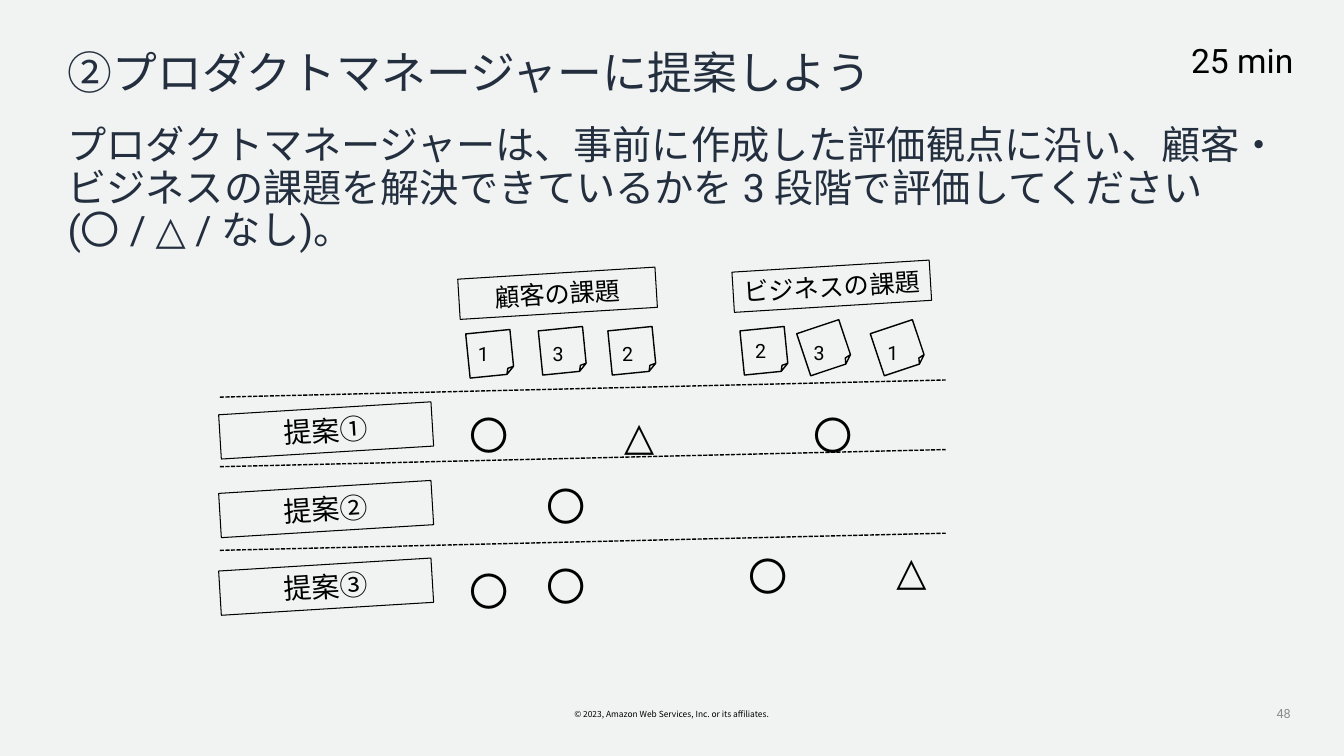
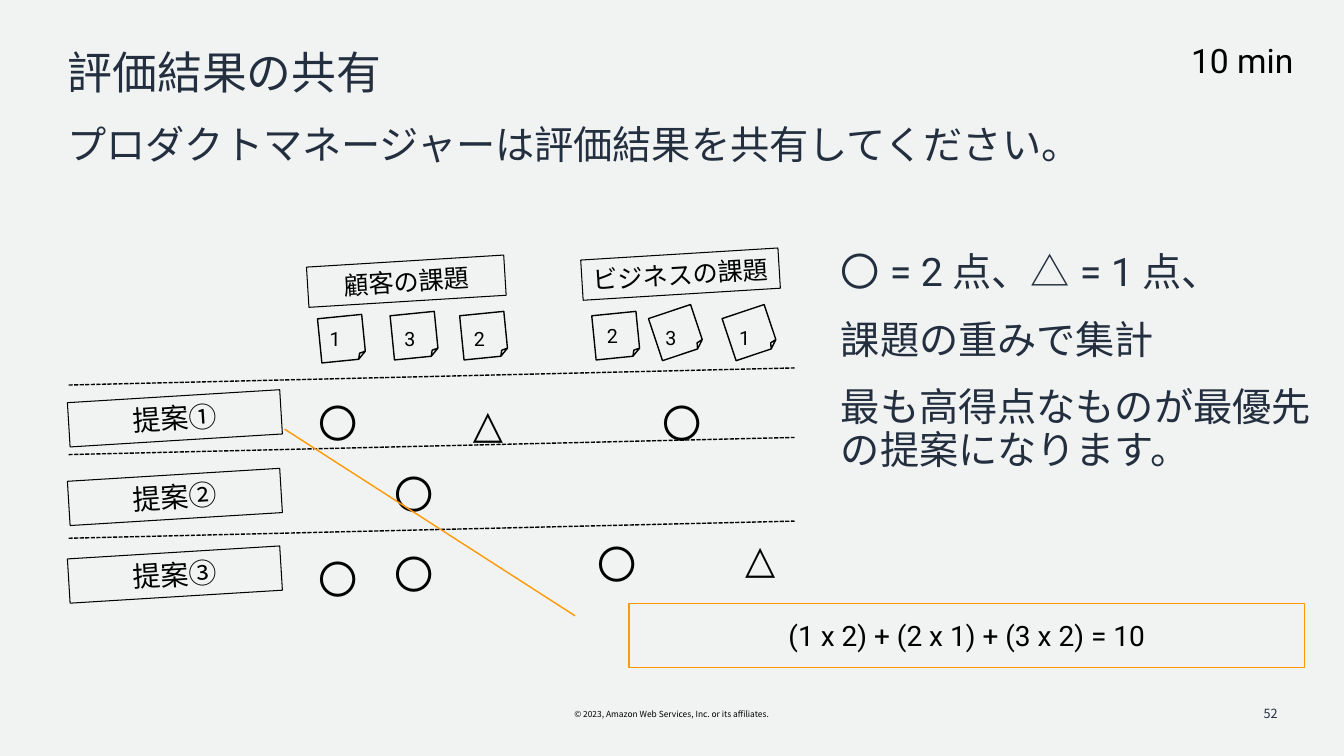
from dataclasses import dataclass

from lxml import etree
from pptx import Presentation
from pptx.dml.color import RGBColor
from pptx.enum.dml import MSO_LINE
from pptx.enum.shapes import MSO_CONNECTOR, MSO_SHAPE
from pptx.enum.text import MSO_ANCHOR, MSO_AUTO_SIZE, PP_ALIGN
from pptx.oxml.ns import qn
from pptx.util import Inches, Pt

LEFT, CENTER, RIGHT = PP_ALIGN.LEFT, PP_ALIGN.CENTER, PP_ALIGN.RIGHT
TOP, MIDDLE = MSO_ANCHOR.TOP, MSO_ANCHOR.MIDDLE
GROW, FIXED = MSO_AUTO_SIZE.SHAPE_TO_FIT_TEXT, MSO_AUTO_SIZE.NONE
RECTANGLE, NOTE = MSO_SHAPE.RECTANGLE, MSO_SHAPE.FOLDED_CORNER
CALLOUT = MSO_SHAPE.LINE_CALLOUT_1
STRAIGHT, DASHED = MSO_CONNECTOR.STRAIGHT, MSO_LINE.SQUARE_DOT

BACKGROUND, NAVY, BLACK, GRAY, ORANGE = "F1F3F3", "232F3E", "000000", "8C8C8C", "FF9900"
MAIN_FONT, FOOTER_FONT = "Roboto", "Noto Sans CJK JP"
COPYRIGHT = "© 2023, Amazon Web Services, Inc. or its affiliates."
LABEL_ANGLE, STEEP_ANGLE, SLIGHT_ANGLE = -3.5, -18.5, -5.7
BODY = dict(size=28, color=NAVY, spacing=0.9, after=18)


@dataclass(frozen=True)
class Label:
    text: str
    left: float
    top: float
    width: float
    height: float
    size: int


@dataclass(frozen=True)
class Note:
    """A folded note; the number sits at an offset from its corner."""
    number: str
    left: float
    top: float
    angle: float
    shift_x: float
    shift_y: float


@dataclass(frozen=True)
class Mark:
    symbol: str
    left: float
    top: float


@dataclass(frozen=True)
class PageNumber:
    text: str
    right: float
    width: float
    color: str
    font: str


LABELS = [
    *(Label(f"提案{digit}", 2.18, top, 2.11, 0.44, 20)
      for digit, top in zip("①②③", (4.05, 4.83, 5.6))),
    Label("顧客の課題", 4.55, 2.71, 1.96, 0.4, 18),
    Label("ビジネスの課題", 7.27, 2.64, 1.96, 0.4, 18),
]
NOTES = [
    Note("1", 4.64, 3.29, SLIGHT_ANGLE, 0.1, 0.05),
    Note("3", 5.36, 3.26, SLIGHT_ANGLE, 0.12, 0.08),
    Note("2", 6.05, 3.26, SLIGHT_ANGLE, 0.12, 0.08),
    Note("2", 7.36, 3.26, SLIGHT_ANGLE, 0.13, 0.05),
    Note("3", 7.96, 3.23, STEEP_ANGLE, 0.11, 0.1),
    Note("1", 8.69, 3.23, STEEP_ANGLE, 0.11, 0.1),
]
MARKS = [
    Mark("〇", 4.49, 4.03), Mark("△", 5.98, 4.03), Mark("〇", 7.9, 4.03),
    Mark("〇", 5.25, 4.74),
    Mark("〇", 4.49, 5.58), Mark("〇", 5.25, 5.53),
    Mark("〇", 7.26, 5.43), Mark("△", 8.68, 5.37),
]
DIVIDER_TOPS = [3.94, 4.63, 5.46]


def rgb(color: str) -> RGBColor:
    return RGBColor.from_string(color)


def write(box, text: str, *, size: float, color: str = BLACK, font: str = MAIN_FONT,
          align=LEFT, anchor=TOP, inset: float = 0, fit=GROW, wrap: bool = True,
          spacing: float = 1.0, after: float = 0) -> None:
    """Fill a shape with text, one paragraph per line."""
    frame = box.text_frame
    frame.word_wrap, frame.auto_size, frame.vertical_anchor = wrap, fit, anchor
    frame.margin_left = frame.margin_right = Inches(inset)
    frame.margin_top = frame.margin_bottom = Inches(0.05)
    for index, line in enumerate(text.split("\n")):
        para = frame.add_paragraph() if index else frame.paragraphs[0]
        para.alignment, para.line_spacing = align, spacing
        para.space_before, para.space_after = Pt(0), Pt(after)
        span = para.add_run()
        span.text = line
        span.font.size, span.font.name = Pt(size), font
        span.font.color.rgb = rgb(color)
        properties = span.font._element
        etree.SubElement(properties, qn("a:ea")).set("typeface", font)


def add_text(page, text: str, left: float, top: float, width: float, height: float,
             **style):
    box = page.shapes.add_textbox(Inches(left), Inches(top), Inches(width), Inches(height))
    write(box, text, **style)
    return box


def add_outline(page, kind, left: float, top: float, width: float, height: float, *,
                angle: float = 0, color: str = BLACK, weight: float = 1):
    shape = page.shapes.add_shape(kind, Inches(left), Inches(top),
                                  Inches(width), Inches(height))
    shape.shadow.inherit = False
    shape.fill.background()
    shape.line.color.rgb, shape.line.width = rgb(color), Pt(weight)
    shape.rotation = angle
    return shape


def add_divider(page, left: float, top: float) -> None:
    line = page.shapes.add_connector(STRAIGHT, Inches(left), Inches(top),
                                     Inches(left + 7.2), Inches(top - 0.17))
    line.line.color.rgb, line.line.width = rgb(BLACK), Pt(1)
    line.line.dash_style = DASHED
    etree.SubElement(line._element.spPr, qn("a:effectLst"))


def add_matrix(page, shift: tuple[float, float] = (0, 0),
               note_shift: tuple[float, float] = (0, 0)) -> None:
    """Draw the tilted scoring table, moved from its base place."""
    right, down = shift
    for label in LABELS:
        box = add_outline(page, RECTANGLE, label.left + right, label.top + down,
                          label.width, label.height, angle=LABEL_ANGLE, weight=0.75)
        write(box, label.text, size=label.size, align=CENTER)
    for top in DIVIDER_TOPS:
        add_divider(page, 2.18 + right, top + down)
    for mark in MARKS:
        add_text(page, mark.symbol, mark.left + right, mark.top + down, 0.72, 0.57,
                 size=28, align=CENTER)
    for note in NOTES:
        left, top = note.left + note_shift[0], note.top + note_shift[1]
        add_outline(page, NOTE, left, top, 0.44, 0.44, angle=note.angle)
        add_text(page, note.number, left + note.shift_x, top + note.shift_y, 0.41, 0.34,
                 size=14)


def add_page(deck, title: str, message: str, message_height: float, duration: str,
             number: PageNumber):
    """Add a slide with title, message, time limit and footer."""
    page = deck.slides.add_slide(deck.slide_layouts[5])
    heading = page.shapes.title
    heading.left, heading.top = Inches(0.67), Inches(0.45)
    heading.width, heading.height = Inches(11.98), Inches(0.6)
    write(heading, title, size=32, color=NAVY, spacing=0.9)
    add_text(page, message, 0.67, 1.2, 12.1, message_height, **BODY)
    add_text(page, duration, 11.31, 0.35, 2.02, 0.5, size=24, align=CENTER)
    add_text(page, COPYRIGHT, 5.49, 6.99, 2.34, 0.2, size=6, font=FOOTER_FONT,
             align=CENTER, inset=0.1, wrap=False)
    add_text(page, number.text, number.right - number.width, 6.88, number.width, 0.4,
             size=9, color=number.color, font=number.font, align=RIGHT, anchor=MIDDLE,
             inset=0.1, fit=FIXED)
    return page


def add_proposal_page(deck) -> None:
    page = add_page(
        deck, "②プロダクトマネージャーに提案しよう",
        "プロダクトマネージャーは、事前に作成した評価観点に沿い、顧客・ビジネスの課題を"
        "解決できているかを 3 段階で評価してください (〇 / △ / なし)。",
        1.39, "25 min", PageNumber("48", 12.9, 2.57, GRAY, MAIN_FONT))
    add_matrix(page)


def add_result_page(deck) -> None:
    page = add_page(
        deck, "評価結果の共有", "プロダクトマネージャーは評価結果を共有してください。",
        0.54, "10 min", PageNumber("52", 12.77, 3, NAVY, FOOTER_FONT))
    add_text(page, "〇 = 2 点、△ = 1 点、\n課題の重みで集計\n"
             "最も高得点なものが最優先の提案になります。", 8.34, 2.46, 4.72, 2.31, **BODY)
    add_matrix(page, shift=(-1.5, -0.12), note_shift=(-1.47, -0.15))
    callout = add_outline(page, CALLOUT, 6.24, 5.99, 6.7, 0.63, color=ORANGE)
    for index, value in enumerate((0.19, -0.08, -2.75, -0.51)):
        callout.adjustments[index] = value
    write(callout, "(1 x 2) + (2 x 1) + (3 x 2) = 10", size=20, align=CENTER,
          anchor=MIDDLE, inset=0.05, fit=FIXED)


def main() -> None:
    deck = Presentation()
    deck.slide_width, deck.slide_height = Inches(13.33), Inches(7.5)
    backdrop = deck.slide_master.background.fill
    backdrop.solid()
    backdrop.fore_color.rgb = rgb(BACKGROUND)
    add_proposal_page(deck)
    add_result_page(deck)
    deck.save("out.pptx")


if __name__ == "__main__":
    main()
